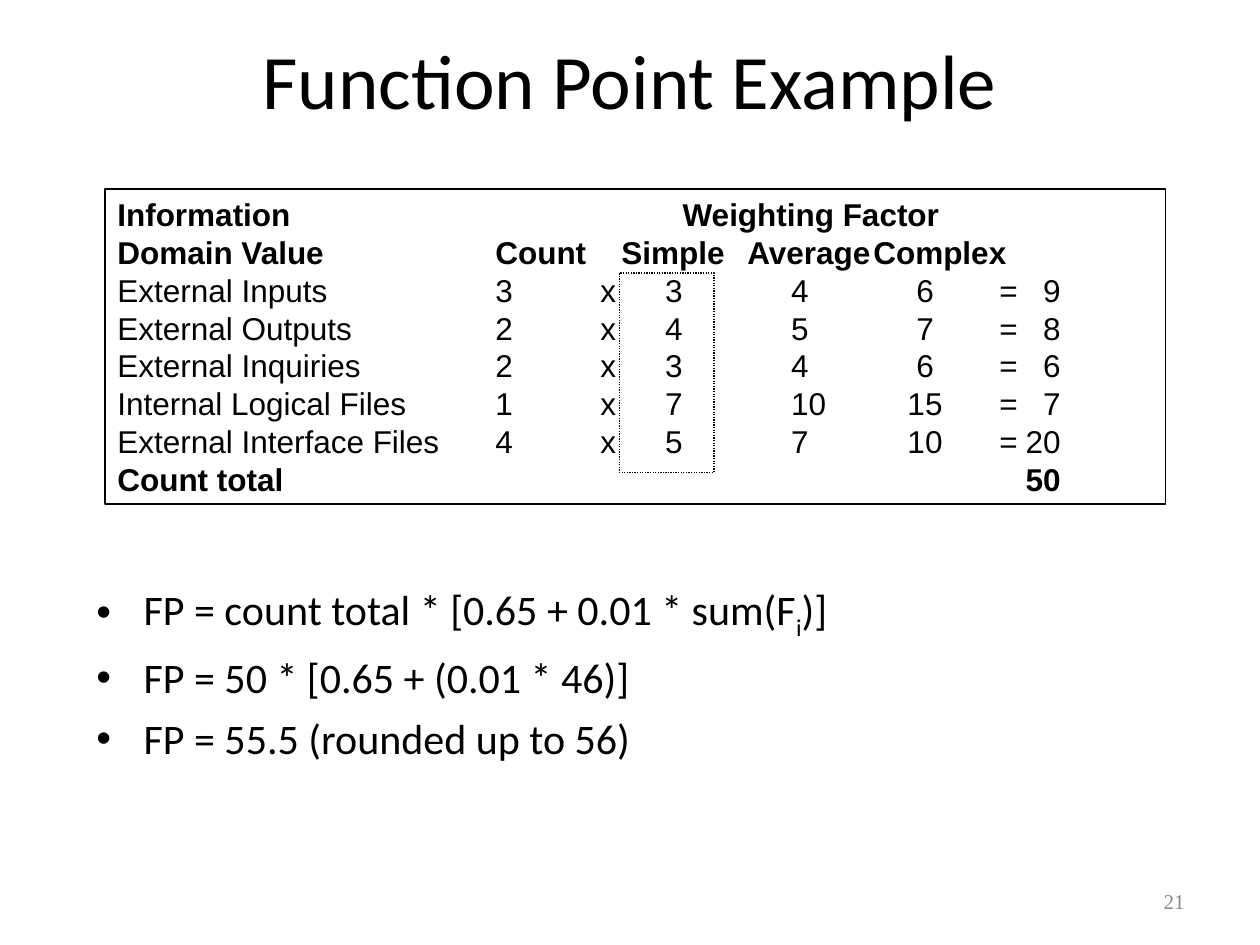
from lxml import etree
from pptx import Presentation
from pptx import util as u
from pptx.dml.color import RGBColor
from pptx.enum import dml, shapes, text
from pptx.oxml.ns import qn

BLACK = "000000"
HEADING_TABS = [(323, "l")]
COLUMN_TABS = [(216, "l"), (288, "l"), (360, "l"), (432, "l")]
VALUE_TABS = [(216, "l"), (276, "l"), (318, "ctr"), (385, "l"),
              (461.5, "ctr"), (504, "l"), (539, "r")]
TOTAL_TABS = VALUE_TABS[-1:]
DOMAINS = [
    ("External Inputs", 3, (3, 4, 6)),
    ("External Outputs", 2, (4, 5, 7)),
    ("External Inquiries", 2, (3, 4, 6)),
    ("Internal Logical Files", 1, (7, 10, 15)),
    ("External Interface Files", 4, (5, 7, 10)),
]


def color(hex_string):
    """Return the colour for a hex string."""
    return RGBColor.from_string(hex_string)


def set_font(paragraph, name, size, hex_string=BLACK, bold=False):
    """Set the font of a whole paragraph."""
    font = paragraph.font
    font.name, font.size, font.bold = name, u.Pt(size), bold
    font.color.rgb = color(hex_string)


def add_text_box(slide, box, anchor=text.MSO_ANCHOR.TOP):
    """Add a wrapping text box and return its text frame."""
    frame = slide.shapes.add_textbox(*map(u.Pt, box)).text_frame
    frame.word_wrap = True
    frame.vertical_anchor = anchor
    return frame


def add_line_text(slide, box, line, size, alignment, font="Calibri", hex_string=BLACK):
    """Add one vertically centred line of text."""
    paragraph = add_text_box(slide, box, text.MSO_ANCHOR.MIDDLE).paragraphs[0]
    paragraph.text = line
    paragraph.alignment = alignment
    set_font(paragraph, font, size, hex_string)


def add_outline(slide, box, dash=None):
    """Add an unfilled rectangle with a thin black line."""
    shape = slide.shapes.add_shape(shapes.MSO_SHAPE.RECTANGLE, *map(u.Pt, box))
    shape.shadow.inherit = False
    shape.fill.background()
    shape.line.color.rgb = color(BLACK)
    shape.line.width = u.Pt(0.75)
    if dash:
        shape.line.dash_style = dash
    return shape


def add_tabs(paragraph, stops):
    """Give a paragraph its tab stops."""
    tabs = etree.SubElement(paragraph._p.get_or_add_pPr(), qn("a:tabLst"))
    for position, alignment in stops:
        etree.SubElement(tabs, qn("a:tab"), pos=str(u.Pt(position)), algn=alignment)


def add_weighting_panel(slide, box):
    """Add the framed count grid with its dotted column marker."""
    left, top, width, height = box
    add_outline(slide, (left + 294, top + 48, 54, 114), dml.MSO_LINE.ROUND_DOT)
    frame = add_outline(slide, box).text_frame
    frame.word_wrap = True
    frame.vertical_anchor = text.MSO_ANCHOR.TOP

    totals = [count * weights[0] for _, count, weights in DOMAINS]
    rows = [(("Information", "Weighting Factor"), HEADING_TABS, True),
            (("Domain Value", "Count", "Simple", "Average", "Complex"), COLUMN_TABS, True)]
    rows += [((name, count, "x", *weights, "=", total), VALUE_TABS, False)
             for (name, count, weights), total in zip(DOMAINS, totals)]
    rows.append((("Count total", sum(totals)), TOTAL_TABS, True))

    for index, (cells, stops, bold) in enumerate(rows):
        paragraph = frame.add_paragraph() if index else frame.paragraphs[0]
        paragraph.add_run().text = "\t".join(map(str, cells))
        paragraph.alignment = text.PP_ALIGN.LEFT
        paragraph.line_spacing = u.Pt(21.6)
        add_tabs(paragraph, stops)
        set_font(paragraph, "Arial", 18, bold=bold)


def add_formulas(slide, box):
    """Add the bulleted function point calculation."""
    frame = add_text_box(slide, box)
    lines = [("FP = count total * [0.65 + 0.01 * sum(F", "i", ")]"),
             ("FP = 50 * [0.65 + (0.01 * 46)]",),
             ("FP = 55.5 (rounded up to 56)",)]
    for index, parts in enumerate(lines):
        paragraph = frame.add_paragraph() if index else frame.paragraphs[0]
        if index:
            paragraph.space_before = u.Pt(6)
        properties = paragraph._p.get_or_add_pPr()
        properties.set("marL", str(u.Pt(27)))
        properties.set("indent", str(u.Pt(-27)))
        etree.SubElement(properties, qn("a:buFont"), typeface="Arial")
        etree.SubElement(properties, qn("a:buChar"), char="•")
        set_font(paragraph, "Calibri", 24)
        for part in parts:
            run = paragraph.add_run()
            run.text = part
            if part == "i":
                run.font._element.set("baseline", "-25000")


def main():
    """Build and save the slide."""
    presentation = Presentation()
    presentation.slide_width, presentation.slide_height = u.Pt(720), u.Pt(540)
    slide = presentation.slides.add_slide(presentation.slide_layouts[6])
    add_line_text(slide, (516, 500.5, 168, 28.8), "21", 12, text.PP_ALIGN.RIGHT,
                  "Times New Roman", "898989")
    add_line_text(slide, (54, 0, 612, 90), "Function Point Example", 44,
                  text.PP_ALIGN.CENTER)
    add_formulas(slide, (48, 330, 642, 132))
    add_weighting_panel(slide, (60, 108, 606, 180))
    presentation.save("out.pptx")


if __name__ == "__main__":
    main()
